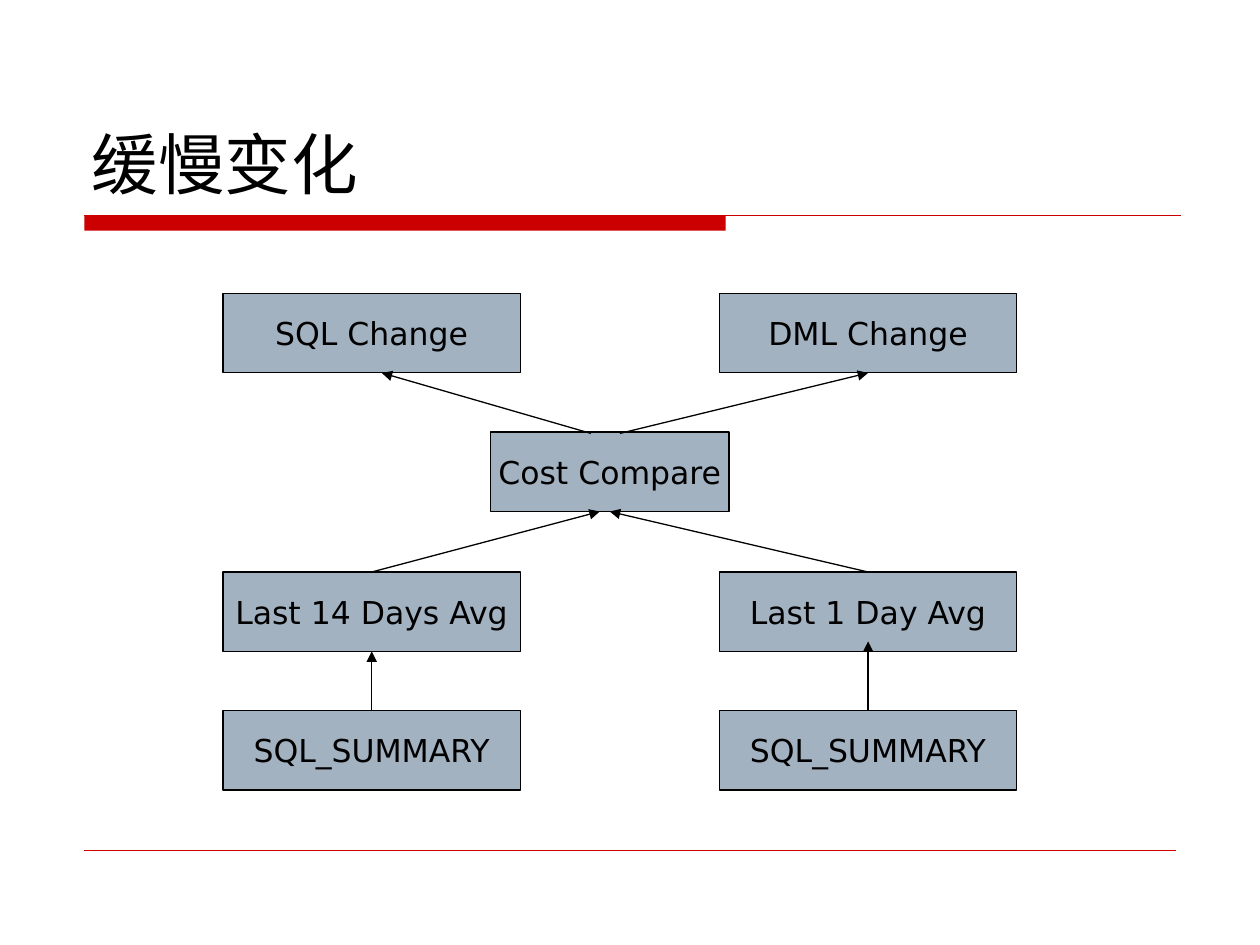
from pptx import Presentation
from pptx import util as u
from pptx.dml.color import RGBColor
from pptx.enum import shapes, text
from pptx.oxml.ns import qn
from lxml import etree

RED = RGBColor(0xCC, 0x00, 0x00)
STEEL = RGBColor(0xA3, 0xB2, 0xC1)
BLACK = RGBColor(0x00, 0x00, 0x00)
TOP, BOTTOM = 0, 2  # connection sites of a rectangle


class Deck:
    font = "DejaVu Sans"
    line_width = u.Pt(0.75)

    def __init__(self, slide):
        self.s = slide

    def set_text(self, tf, words, size, align, anchor):
        tf.vertical_anchor = anchor
        p = tf.paragraphs[0]
        p.text = words
        p.alignment = align
        p.font.name = self.font
        p.font.size = u.Pt(size)
        p.font.color.rgb = BLACK

    def title(self, words, x, y, w, h):
        tf = self.s.shapes.add_textbox(*map(u.Inches, (x, y, w, h))).text_frame
        tf.word_wrap = True
        self.set_text(tf, words, 38, text.PP_ALIGN.LEFT, text.MSO_ANCHOR.BOTTOM)

    def rect(self, x, y, w, h, fill):
        sp = self.s.shapes.add_shape(
            shapes.MSO_SHAPE.RECTANGLE, *map(u.Inches, (x, y, w, h)))
        sp.shadow.inherit = False
        sp.fill.solid()
        sp.fill.fore_color.rgb = fill
        sp.line.fill.background()
        return sp

    def box(self, words, center, y, w=2.36, h=0.63):
        sp = self.rect(center - w / 2, y, w, h, STEEL)
        sp.line.color.rgb = BLACK
        sp.line.width = self.line_width
        sp.text_frame.word_wrap = False
        self.set_text(sp.text_frame, words, 18,
                      text.PP_ALIGN.CENTER, text.MSO_ANCHOR.MIDDLE)
        return sp

    def line(self, start, end, color, width=line_width):
        c = self.s.shapes.add_connector(
            shapes.MSO_CONNECTOR.STRAIGHT, *map(u.Inches, (*start, *end)))
        c.line.color.rgb = color
        c.line.width = width
        etree.SubElement(c._element.spPr, qn("a:effectLst"))
        return c

    def arrow(self, start, end, source=None, target=None):
        """Arrow from start to end, glued to source's top and target's bottom."""
        c = self.line(start, end, BLACK)
        etree.SubElement(c.get_or_add_ln(), qn("a:tailEnd"), type="triangle")
        if source is not None:
            c.begin_connect(source, TOP)
        if target is not None:
            c.end_connect(target, BOTTOM)


def main():
    prs = Presentation()
    prs.slide_width, prs.slide_height = u.Inches(10), u.Inches(7.5)
    d = Deck(prs.slides.add_slide(prs.slide_layouts[6]))

    d.rect(0.67, 1.71, 5.09, 0.12, RED)
    d.line((0.67, 1.71), (9.37, 1.71), RED)
    d.line((0.67, 6.75), (9.33, 6.75), RED, u.Pt(0.25))
    d.title("缓慢变化", 0.63, 0.33, 8.75, 1.33)

    left, middle, right = 2.95, 4.84, 6.89
    change_y, cost_y, avg_y, summary_y = 2.33, 3.43, 4.54, 5.64
    summary_14 = d.box("SQL_SUMMARY", left, summary_y)
    summary_1 = d.box("SQL_SUMMARY", right, summary_y)
    avg_14 = d.box("Last 14 Days Avg", left, avg_y)
    avg_1 = d.box("Last 1 Day Avg", right, avg_y)
    cost = d.box("Cost Compare", middle, cost_y, w=1.89)
    d.box("SQL Change", left, change_y)
    dml_change = d.box("DML Change", right, change_y)

    d.arrow((left, summary_y), (left, 5.17), summary_14, avg_14)
    d.arrow((right, summary_y), (right, 5.09), summary_1)
    d.arrow((left, avg_y), (4.76, 4.06), avg_14)
    d.arrow((right, avg_y), (middle, 4.06), avg_1, cost)
    d.arrow((4.69, 3.44), (3.03, 2.96))
    d.arrow((4.92, 3.44), (right, 2.96), target=dml_change)

    prs.save("out.pptx")


if __name__ == "__main__":
    main()
